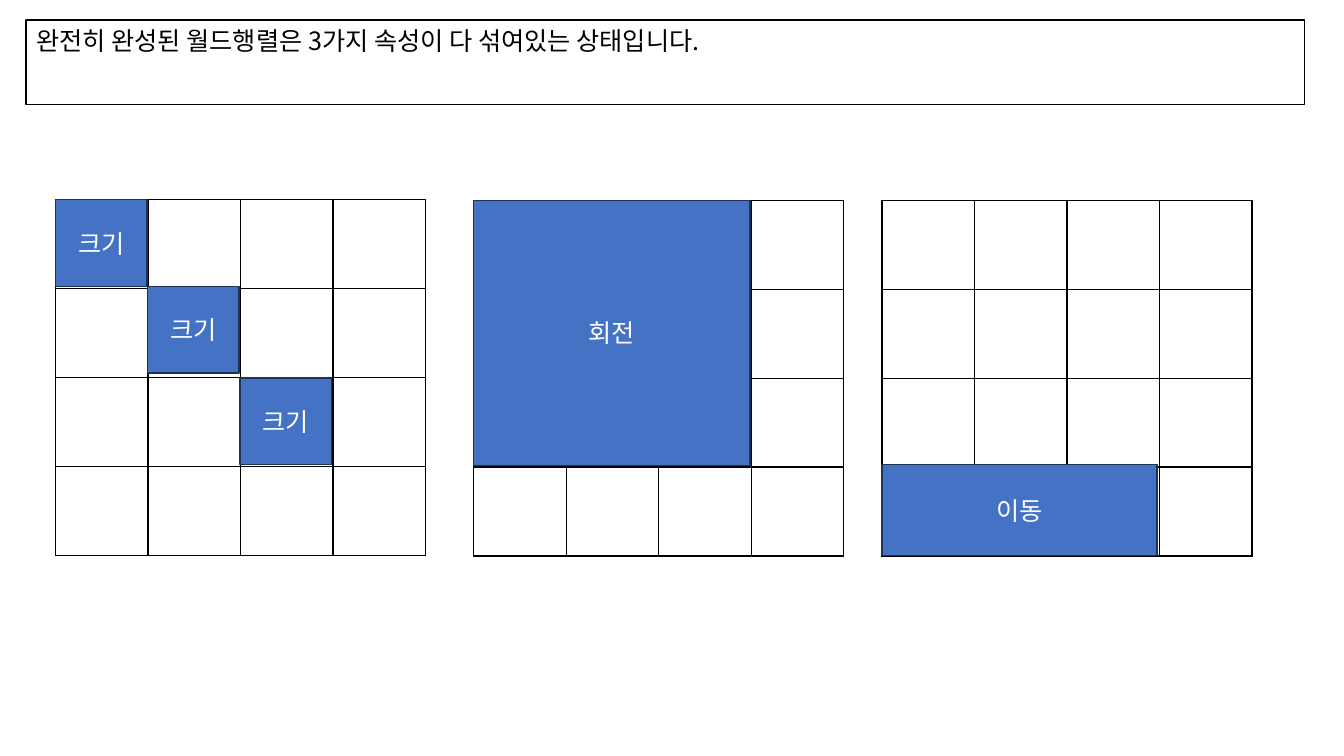
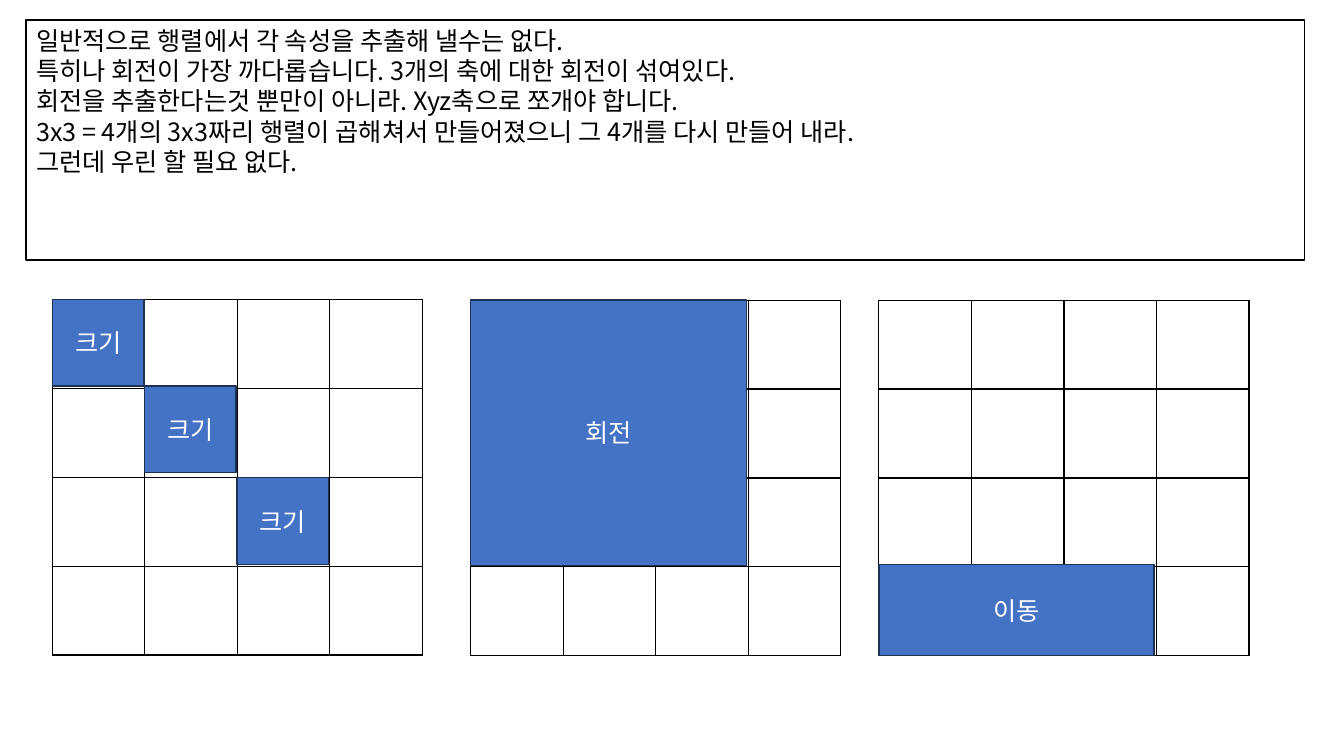
import pptx
import pptx.dml.color
import pptx.enum.shapes
import pptx.enum.text
import pptx.oxml
import pptx.oxml.ns
import pptx.util
from lxml import etree

Pt = pptx.util.Pt
ALIGN = pptx.enum.text.PP_ALIGN
ANCHOR = pptx.enum.text.MSO_ANCHOR
FONT = "Noto Sans CJK KR"
BLACK, WHITE, BLUE, NAVY = "000000", "FFFFFF", "4472C4", "1E3256"
ORDER = 4
CELL_WIDTH, CELL_HEIGHT = 66.1, 63.5
ROTATION_X, MOVE_X = 298.8, 590.4
SCALE_SIZE = (65.5, 61.9)
SCALE_OFFSETS = [(0, 0), (65.7, 61.9), (131.8, 127.4)]

EXPLANATIONS = [
    ["완전히 완성된 월드행렬은 3가지 속성이 다 섞여있는 상태입니다."],
    [
        "일반적으로 행렬에서 각 속성을 추출해 낼수는 없다.",
        "특히나 회전이 가장 까다롭습니다. 3개의 축에 대한 회전이 섞여있다.",
        "회전을 추출한다는것 뿐만이 아니라. Xyz축으로 쪼개야 합니다.",
        "3x3 = 4개의 3x3짜리 행렬이 곱해쳐서 만들어졌으니 그 4개를 다시 만들어 내라.",
        "그런데 우린 할 필요 없다.",
    ],
]


def rgb(color):
    """Turn a hex string into a colour."""
    return pptx.dml.color.RGBColor.from_string(color)


def write_text(frame, lines, color=BLACK, size=18, align=ALIGN.LEFT, anchor=ANCHOR.TOP):
    """Write one paragraph per line in the given format."""
    frame.word_wrap = True
    frame.vertical_anchor = anchor
    for index, line in enumerate(lines):
        paragraph = frame.add_paragraph() if index else frame.paragraphs[0]
        paragraph.alignment = align
        run = paragraph.add_run()
        run.text = line
        run.font.size = Pt(size)
        run.font.color.rgb = rgb(color)
        run.font.name = FONT
        east_asian = etree.SubElement(run.font._element, pptx.oxml.ns.qn("a:ea"))
        east_asian.set("typeface", FONT)


class MatrixDeck:
    """Holds the presentation, its style and the current slide."""

    def __init__(self):
        """Start an empty widescreen presentation."""
        self.deck = pptx.Presentation()
        self.deck.slide_width, self.deck.slide_height = Pt(960), Pt(540)
        self.slide = None

    def new_slide(self):
        """Add a blank slide and make it current."""
        self.slide = self.deck.slides.add_slide(self.deck.slide_layouts[6])

    def box(self, left, top, width, height, lines, fill, line, **text_format):
        """Draw a filled, outlined rectangle with text."""
        shape = self.slide.shapes.add_shape(
            pptx.enum.shapes.MSO_SHAPE.RECTANGLE, Pt(left), Pt(top), Pt(width), Pt(height)
        )
        shape.shadow.inherit = False
        shape.fill.solid()
        shape.fill.fore_color.rgb = rgb(fill)
        shape.line.color.rgb = rgb(line)
        shape.line.width = Pt(1)
        write_text(shape.text_frame, lines, **text_format)

    def explanation(self, lines, height):
        """Draw the framed explanation at the top of the slide."""
        self.box(18.7, 14.4, 913, height, lines, WHITE, BLACK)

    def property_block(self, left, top, width, height, label):
        """Mark the cells of a matrix that hold one property."""
        self.box(left, top, width, height, [label], BLUE, NAVY,
                 color=WHITE, align=ALIGN.CENTER, anchor=ANCHOR.MIDDLE)

    def matrix(self, left, top):
        """Draw an empty square matrix with black cell borders."""
        table = self.slide.shapes.add_table(
            ORDER, ORDER, Pt(left), Pt(top), Pt(ORDER * CELL_WIDTH), Pt(ORDER * CELL_HEIGHT)
        ).table
        table.first_row = table.horz_banding = False
        for column in table.columns:
            column.width = Pt(CELL_WIDTH)
        for row in table.rows:
            row.height = Pt(CELL_HEIGHT)
        for cell in table.iter_cells():
            self.border(cell)
            cell.fill.background()

    def border(self, cell):
        """Outline all four sides of a cell."""
        properties = cell._tc.get_or_add_tcPr()
        for side in ("lnL", "lnR", "lnT", "lnB"):
            properties.append(pptx.oxml.parse_xml(
                f'<a:{side} {pptx.oxml.ns.nsdecls("a")} w="{Pt(1)}"><a:solidFill>'
                f'<a:srgbClr val="{BLACK}"/></a:solidFill></a:{side}>'
            ))

    def world_matrix(self, left, top):
        """Draw the rotation, movement and scale matrices side by side."""
        rotation_left, move_left = left + ROTATION_X, left + MOVE_X
        lower_top = top + 0.5
        self.matrix(rotation_left, lower_top)
        self.property_block(rotation_left, lower_top, 197.3, 189.4, "회전")
        self.matrix(move_left, lower_top)
        self.property_block(move_left, top + 189.4, 196.6, 64.8, "이동")
        self.matrix(left, top)
        for right, down in SCALE_OFFSETS:
            self.property_block(left + right, top + down, *SCALE_SIZE, "크기")

    def save(self):
        """Save the finished presentation."""
        self.deck.save("out.pptx")


def main():
    """Build both slides and save them."""
    deck = MatrixDeck()
    layouts = [(60.5, 39.6, 142.6), (171.4, 37.4, 213.9)]
    for lines, (height, left, top) in zip(EXPLANATIONS, layouts):
        deck.new_slide()
        deck.explanation(lines, height)
        deck.world_matrix(left, top)
    deck.save()


if __name__ == "__main__":
    main()
